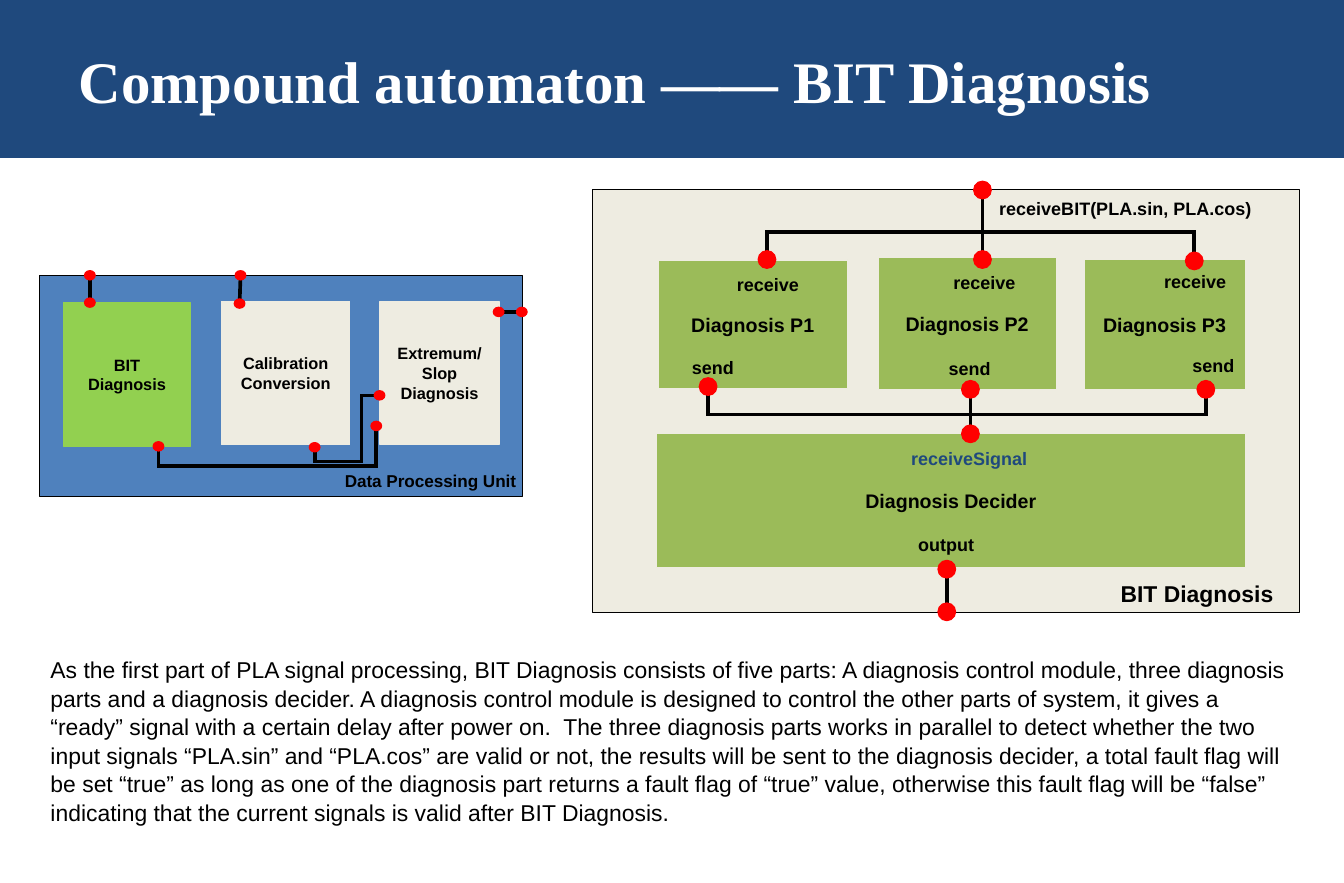
"""Build the compound automaton slide with its two block diagrams."""
import itertools

import pptx
import pptx.dml.color
import pptx.enum.shapes
import pptx.enum.text
import pptx.util
from pptx.oxml.xmlchemy import OxmlElement

Cm = pptx.util.Cm
Pt = pptx.util.Pt
SHAPE = pptx.enum.shapes.MSO_SHAPE
ALIGN = pptx.enum.text.PP_ALIGN
ANCHOR = pptx.enum.text.MSO_ANCHOR

NAVY, BLUE, GREEN, LIME = "1F497D", "4F81BD", "9BBB59", "92D050"
SAND, RED, BLACK, WHITE = "EEECE1", "FF0000", "000000", "FFFFFF"

TITLE = "Compound automaton —— BIT Diagnosis"
DESCRIPTION = (
    "As the first part of PLA signal processing, BIT Diagnosis consists of five parts: "
    "A diagnosis control module, three diagnosis parts and a diagnosis decider. "
    "A diagnosis control module is designed to control the other parts of system, "
    "it gives a “ready” signal with a certain delay after power on.  "
    "The three diagnosis parts works in parallel to detect whether the two input signals "
    "“PLA.sin” and “PLA.cos” are valid or not, the results will be sent to the diagnosis "
    "decider, a total fault flag will be set “true” as long as one of the diagnosis part "
    "returns a fault flag of “true” value, otherwise this fault flag will be “false” "
    "indicating that the current signals is valid after BIT Diagnosis."
)

BLOCKS = [
    ("", (12.78, 4.09, 15.27, 9.12), SAND, BLACK, 12),
    ("Diagnosis P1", (14.2, 5.61, 4.09, 2.77), GREEN, SAND, 12),
    ("Diagnosis P2", (18.95, 5.56, 3.84, 2.84), GREEN, SAND, 12),
    ("Diagnosis P3", (23.39, 5.59, 3.48, 2.82), GREEN, SAND, 12),
    ("Diagnosis Decider", (14.17, 9.35, 12.7, 2.9), GREEN, SAND, 12),
    ("", (0.86, 5.94, 10.41, 4.78), BLUE, BLACK, 10),
    ("BIT Diagnosis", (1.37, 6.53, 2.74, 3.1), LIME, LIME, 10),
    ("Calibration Conversion", (4.78, 6.5, 2.77, 3.1), SAND, SAND, 10),
    ("Extremum/Slop Diagnosis", (8.2, 6.5, 2.57, 3.1), SAND, SAND, 10),
]
LABELS = [
    ("BIT Diagnosis", (23.93, 12.37, 3.84, 0.86), 14, BLACK),
    ("Data Processing Unit", (7.19, 10.03, 4.27, 0.71), 10.5, BLACK),
    ("receiveBIT(PLA.sin, PLA.cos)", (21.31, 4.14, 5.99, 0.74), 11, BLACK),
    ("receive", (15.65, 5.77, 2.03, 0.74), 11, BLACK),
    ("receive", (20.32, 5.74, 2.03, 0.74), 11, BLACK),
    ("receive", (24.87, 5.72, 2.03, 0.74), 11, BLACK),
    ("send", (14.68, 7.57, 1.42, 0.74), 11, BLACK),
    ("send", (20.22, 7.59, 1.42, 0.74), 11, BLACK),
    ("send", (25.48, 7.52, 1.42, 0.74), 11, BLACK),
    ("receiveSignal", (19.41, 9.53, 3.28, 0.74), 11, NAVY),
    ("output", (19.56, 11.38, 1.73, 0.74), 11, BLACK),
]
LARGE_PORT, SMALL_PORT = (0.38, 0.38), (0.23, 0.2)
DIAGNOSIS_LINKS = [
    [(21.2, 4.1), (21.2, 5.6)],
    [(20.94, 8.4), (20.94, 9.36)],
    [(20.43, 12.28), (20.43, 13.2)],
]
UNIT_LINKS = [
    [(1.94, 5.94), (1.94, 6.53)],
    [(5.19, 5.94), (5.17, 6.55)],
    [(10.76, 6.73), (11.26, 6.73)],
    [(3.42, 9.63), (3.42, 10.06), (8.12, 10.06), (8.12, 9.19)],
    [(6.79, 9.65), (6.79, 9.96), (7.8, 9.96), (7.8, 8.53), (8.19, 8.53)],
]
BRANCHES = [
    ((16.55, 5.6), (21.2, 5)),
    ((25.77, 5.63), (21.2, 5)),
    ((15.28, 8.34), (20.94, 8.94)),
    ((26.02, 8.4), (20.94, 8.94)),
]


def color(value):
    return pptx.dml.color.RGBColor.from_string(value)


def write(shape, text, size, ink=BLACK, font="Arial", bold=True,
          align=ALIGN.LEFT, anchor=ANCHOR.TOP, wrap=True, spacing=None):
    frame = shape.text_frame
    frame.text = text
    paragraph = frame.paragraphs[0]
    formats = {
        frame: {"word_wrap": wrap, "vertical_anchor": anchor},
        paragraph: {"alignment": align, "line_spacing": spacing},
        paragraph.runs[0].font: {"name": font, "size": Pt(size), "bold": bold},
    }
    for target, values in formats.items():
        for name, value in values.items():
            setattr(target, name, value)
    paragraph.runs[0].font.color.rgb = color(ink)


def add_block(kind, box, fill, outline):
    shape = slide.shapes.add_shape(kind, *map(Cm, box))
    shape.shadow.inherit = False
    shape.fill.solid()
    shape.fill.fore_color.rgb = color(fill)
    shape.line.color.rgb = color(outline)
    shape.line.width = Pt(0.75)
    return shape


def add_port(center, size):
    corner = [middle - length / 2 for middle, length in zip(center, size)]
    add_block(SHAPE.FLOWCHART_CONNECTOR, (*corner, *size), RED, RED)


def add_wire(points):
    for start, end in itertools.pairwise(points):
        connector = slide.shapes.add_connector(
            pptx.enum.shapes.MSO_CONNECTOR.STRAIGHT, *map(Cm, start + end))
        connector.line.color.rgb = color(BLACK)
        connector.line.width = Pt(2.25)
        connector.line._get_or_add_ln().set("cap", "sq")
        connector._element.spPr.append(OxmlElement("a:effectLst"))


presentation = pptx.Presentation()
presentation.slide_width, presentation.slide_height = Cm(29), Cm(19.05)
slide = presentation.slides.add_slide(presentation.slide_layouts[5])

title = slide.shapes.title
for name, value in zip(("left", "top", "width", "height"), (1.45, 0.13, 26.11, 3.18)):
    setattr(title, name, Cm(value))
write(title, TITLE, 36, WHITE, "Times New Roman", anchor=ANCHOR.MIDDLE)
band = add_block(SHAPE.RECTANGLE, (0, 0, 29, 3.4), NAVY, NAVY)
title._element.addprevious(band._element)

description = slide.shapes.add_textbox(*map(Cm, (0.84, 14, 27.23, 3.99)))
write(description, DESCRIPTION, 14, bold=False, spacing=1.04)

for text, box, fill, outline, size in BLOCKS:
    block = add_block(SHAPE.RECTANGLE, box, fill, outline)
    if text:
        write(block, text, size, align=ALIGN.CENTER, anchor=ANCHOR.MIDDLE)

ports = []
for links, size in ((DIAGNOSIS_LINKS, LARGE_PORT), (UNIT_LINKS, SMALL_PORT)):
    for points in links:
        add_wire(points)
        ports += [(points[0], size), (points[-1], size)]
for port, junction in BRANCHES:
    add_wire([port, (port[0], junction[1]), junction])
    ports.append((port, LARGE_PORT))
for center, size in ports:
    add_port(center, size)

for text, box, size, ink in LABELS:
    label = slide.shapes.add_textbox(*map(Cm, box))
    write(label, text, size, ink, wrap=False)

presentation.save("out.pptx")
